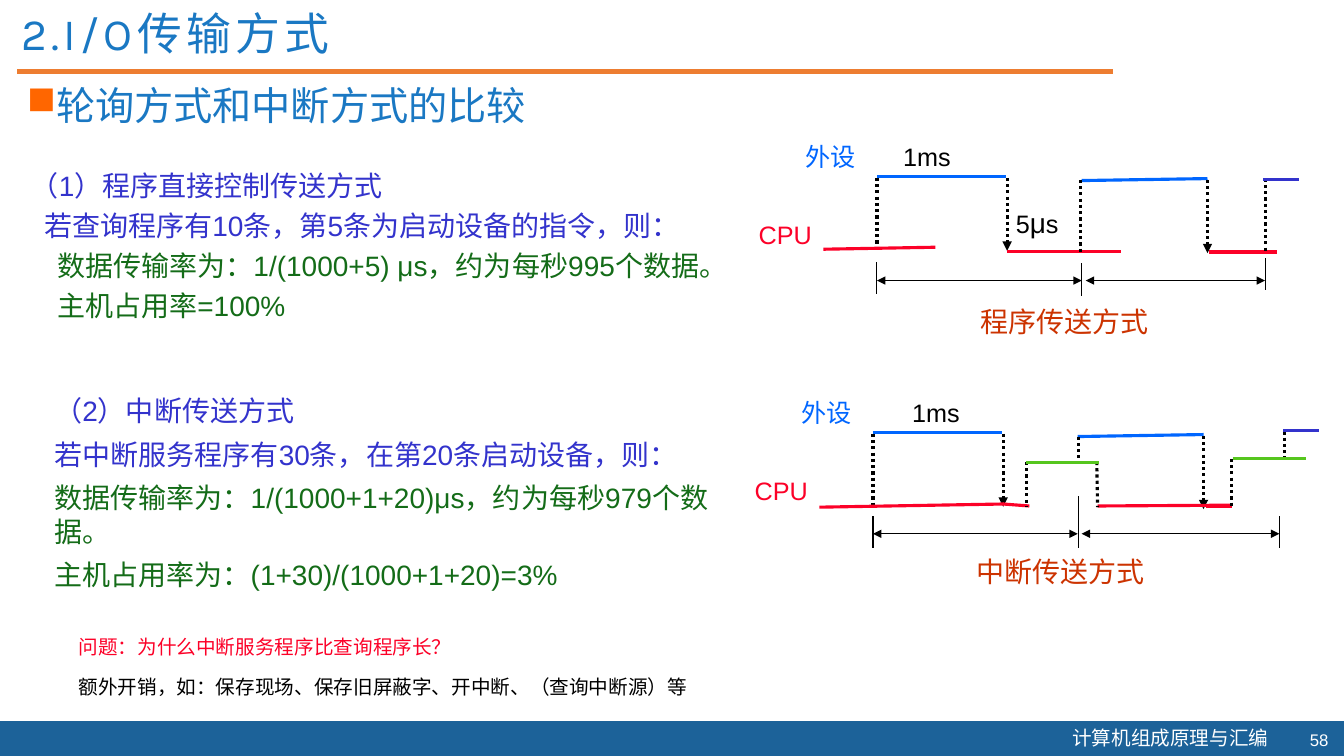
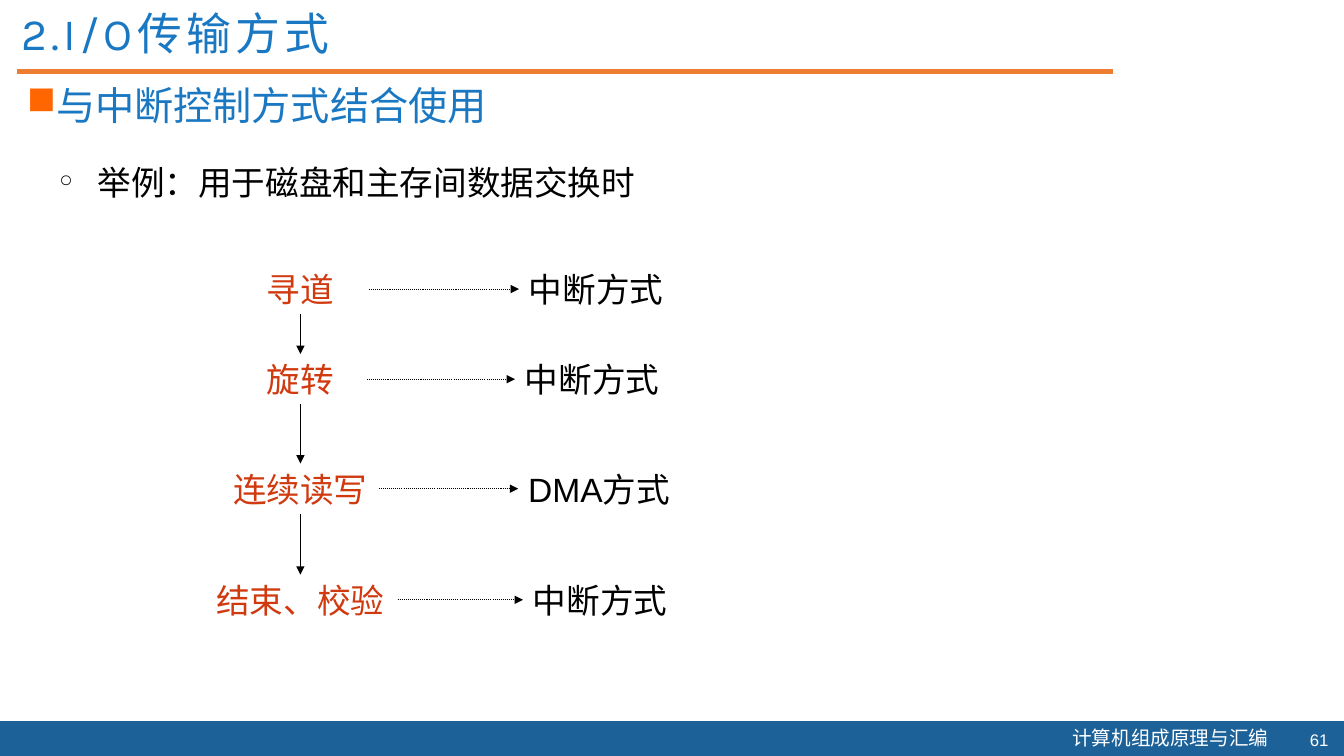
"""Build two lecture slides on I/O transfer modes."""
from itertools import pairwise

from lxml import etree
from pptx import Presentation
from pptx.dml.color import RGBColor
from pptx.enum.dml import MSO_LINE
from pptx.enum.shapes import MSO_CONNECTOR, MSO_SHAPE
from pptx.enum.text import MSO_ANCHOR, PP_ALIGN
from pptx.oxml.ns import qn
from pptx.util import Cm, Pt

STRAIGHT, RECTANGLE, DOTTED = MSO_CONNECTOR.STRAIGHT, MSO_SHAPE.RECTANGLE, MSO_LINE.ROUND_DOT
LEFT, CENTER, RIGHT = PP_ALIGN.LEFT, PP_ALIGN.CENTER, PP_ALIGN.RIGHT
TOP, MIDDLE = MSO_ANCHOR.TOP, MSO_ANCHOR.MIDDLE

WHITE = RGBColor(0xFF, 0xFF, 0xFF)
BLACK = RGBColor(0x00, 0x00, 0x00)
BAND = RGBColor(0x1C, 0x62, 0x99)
RULE = RGBColor(0xED, 0x7D, 0x31)
HEADING = RGBColor(0x1A, 0x78, 0xC3)
BULLET = RGBColor(0xFF, 0x66, 0x00)
INDIGO = RGBColor(0x33, 0x33, 0xCC)
DARK_GREEN = RGBColor(0x14, 0x6C, 0x18)
GREEN = RGBColor(0x56, 0xC6, 0x1E)
RED = RGBColor(0xFC, 0x01, 0x28)
BLUE = RGBColor(0x00, 0x66, 0xFF)
CAPTION = RGBColor(0xCC, 0x33, 0x00)
STEP = RGBColor(0xD1, 0x39, 0x0F)

BODY_FONT, TITLE_FONT, FOOTER_FONT = "Arial", "Karla", "Noto Sans CJK SC"
WIDTH, HEIGHT = 33.87, 19.05
TITLE = "2.I/O传输方式"
COURSE = "计算机组成原理与汇编"

DEVICE = {"color": BLUE, "width": 2.25}
CPU = {"color": RED, "width": 2.25}
SERVICE = {"color": GREEN, "width": 2.25}
NEXT = {"color": INDIGO, "width": 2.25}
EDGE = {"width": 2.25, "dash": DOTTED}
SIGNAL = {"width": 2.25, "dash": DOTTED, "tail": True}
SPAN = {"head": True, "tail": True}
TICK = {}


class Deck:
    """Hold the style, the current slide and the container being drawn on."""

    def __init__(self):
        self.prs = Presentation()
        self.prs.slide_width, self.prs.slide_height = Cm(WIDTH), Cm(HEIGHT)

    def new_slide(self, heading, number):
        """Start a slide with the shared title, rule, footer and heading."""
        self.slide = self.prs.slides.add_slide(self.prs.slide_layouts[5])
        self.shapes = self.slide.shapes
        self.band(0, 18.17, WIDTH, 0.88)
        self.text(26.77, 18.17, 5.6, COURSE, WHITE, 14, font=FOOTER_FONT)
        self.line(0.43, 1.8, 28.04, 1.8, RULE, 3)
        page = self.text(32.46, 18.26, 1.27, str(number), WHITE, 12, RIGHT, height=0.76)
        page.text_frame.vertical_anchor = MIDDLE
        self.title()
        topic = self.text(0.43, 1.93, 32.87, heading, HEADING, 28)
        self.bullet(topic.text_frame.paragraphs[0], "■", 0.64, BULLET)

    def title(self):
        """Place and format the title placeholder."""
        title = self.shapes.title
        title.left, title.top, title.width, title.height = Cm(0.28), Cm(0.18), Cm(27.05), Cm(1.22)
        title.text_frame.text = TITLE
        title.text_frame.vertical_anchor = TOP
        paragraph = title.text_frame.paragraphs[0]
        paragraph.line_spacing = 0.9
        self.style(paragraph, HEADING, 32, LEFT, TITLE_FONT)
        paragraph.runs[0]._r.get_or_add_rPr().set("spc", "300")

    def band(self, x, y, width, height):
        """Draw the footer band."""
        band = self.shapes.add_shape(RECTANGLE, Cm(x), Cm(y), Cm(width), Cm(height))
        band.shadow.inherit = False
        band.fill.solid()
        band.fill.fore_color.rgb = BAND
        band.line.fill.background()

    def style(self, paragraph, color, size, align=LEFT, font=BODY_FONT):
        """Set the font and alignment of a paragraph."""
        paragraph.alignment = align
        paragraph.font.name = font
        paragraph.font.size = Pt(size)
        paragraph.font.color.rgb = color

    def text(self, x, y, width, content, color=BLACK, size=18, align=LEFT,
             font=BODY_FONT, height=1.0):
        """Add a one-paragraph text box."""
        box = self.shapes.add_textbox(Cm(x), Cm(y), Cm(width), Cm(height))
        box.text_frame.word_wrap = True
        box.text_frame.text = content
        self.style(box.text_frame.paragraphs[0], color, size, align, font)
        return box

    def passage(self, x, y, width, lines, spacing=1.0, before=0):
        """Add a text box of (content, color, indent) paragraphs."""
        first, *rest = lines
        frame = self.text(x, y, width, first[0], first[1], 20, height=5.2).text_frame
        frame.paragraphs[0].line_spacing = spacing
        for content, color, indent in rest:
            paragraph = frame.add_paragraph()
            paragraph.text = content
            self.style(paragraph, color, 20)
            paragraph.line_spacing = spacing
            paragraph.space_before = Pt(before)
            self.indent(paragraph, indent)

    def indent(self, paragraph, left, first=0):
        """Set the left margin and first-line indent of a paragraph."""
        properties = paragraph._p.get_or_add_pPr()
        properties.set("marL", str(Cm(left)))
        properties.set("indent", str(Cm(first)))
        return properties

    def bullet(self, paragraph, symbol, hanging, color):
        """Give a paragraph a coloured bullet with a hanging indent."""
        default_font = self.indent(paragraph, hanging, -hanging).find(qn("a:defRPr"))
        tint = etree.Element(qn("a:buClr"))
        etree.SubElement(tint, qn("a:srgbClr"), val=str(color))
        default_font.addprevious(tint)
        default_font.addprevious(etree.Element(qn("a:buChar"), char=symbol))

    def line(self, x1, y1, x2, y2, color=BLACK, width=0.75, dash=None, head=False, tail=False):
        """Add a straight line, with arrowheads where asked."""
        line = self.shapes.add_connector(STRAIGHT, Cm(x1), Cm(y1), Cm(x2), Cm(y2))
        line.line.color.rgb = color
        line.line.width = Pt(width)
        if dash:
            line.line.dash_style = dash
        properties = line._element.spPr
        outline = properties.find(qn("a:ln"))
        for wanted, tag in ((head, "a:headEnd"), (tail, "a:tailEnd")):
            if wanted:
                etree.SubElement(outline, qn(tag), type="triangle")
        etree.SubElement(properties, qn("a:effectLst"))
        return line

    def join(self, source, source_side, target, target_side, dash=None):
        """Join two boxes with an arrow."""
        arrow = self.line(0, 0, 1, 1, dash=dash, tail=True)
        arrow.begin_connect(source, source_side)
        arrow.end_connect(target, target_side)

    def timing(self, x, y, caption, period_x, caption_y, span_y, end, traces):
        """Draw a grouped timing diagram whose first device pulse starts at x, y."""
        self.shapes = self.slide.shapes.add_group_shape().shapes
        shared = [
            (DEVICE, [(0, 0, 3.25, 0), (5.16, 0.1, 8.33, 0.05)]),
            (EDGE, [(0, 0.03, 0, 1.84)]),
            (SIGNAL, [(3.28, 0.03, 3.28, 1.87), (8.33, 0.08, 8.33, 1.93)]),
            (SPAN, [(0, span_y, 5.16, span_y), (5.26, span_y, end, span_y)]),
        ]
        for look, segments in shared + traces:
            for x1, y1, x2, y2 in segments:
                self.line(x + x1, y + y1, x + x2, y + y2, **look)
        self.text(x - 2.06, y - 1.02, 2.97, "外设", BLUE)
        self.text(x - 3.23, y + 0.95, 3.28, "CPU", RED)
        self.text(x + period_x, y - 1.02, 2.77, "1ms")
        self.text(x + 2.35, y + caption_y, 5, caption, CAPTION, 20)

    def duration(self, x, y):
        """Write the polling time with its larger Greek letter."""
        paragraph = self.text(x, y, 2.77, "5").text_frame.paragraphs[0]
        for content, size in (("μ", 20), ("s", 18)):
            run = paragraph.add_run()
            run.text = content
            run.font.size = Pt(size)


def comparison(deck):
    """Compare polling with interrupts."""
    deck.new_slide("轮询方式和中断方式的比较", 58)
    deck.passage(0.53, 3.94, 26.3, [
        ("（1）程序直接控制传送方式", INDIGO, 0),
        ("若查询程序有10条，第5条为启动设备的指令，则：", INDIGO, 0.33),
        ("数据传输率为：1/(1000+5) μs，约为每秒995个数据。", DARK_GREEN, 0.66),
        ("主机占用率=100%", DARK_GREEN, 0.66),
    ], spacing=1.2)
    deck.passage(1.12, 9.8, 17.02, [
        ("（2）中断传送方式", INDIGO, 0),
        ("若中断服务程序有30条，在第20条启动设备，则：", INDIGO, 0),
        ("数据传输率为：1/(1000+1+20)μs，约为每秒979个数据。", DARK_GREEN, 0),
        ("主机占用率为：(1+30)/(1000+1+20)=3%", DARK_GREEN, 0),
    ], before=7)
    deck.text(1.73, 15.88, 11.4, "问题：为什么中断服务程序比查询程序长？", RED, 14)
    deck.text(1.73, 16.87, 19.6,
              "额外开销，如：保存现场、保存旧屏蔽字、开中断、（查询中断源）等", BLACK, 14)
    deck.timing(22.1, 4.45, "程序传送方式", 0.41, 3.1, 2.62, 9.78, [
        (CPU, [(-1.35, 1.83, 1.47, 1.78), (3.28, 1.88, 6.15, 1.88), (8.38, 1.9, 10.08, 1.9)]),
        (EDGE, [(5.13, 0.08, 5.13, 1.93), (9.8, 0.05, 9.8, 1.88)]),
        (TICK, [(0, 2.16, 0, 2.97), (5.16, 2.18, 5.16, 3), (9.78, 2.06, 9.78, 2.87)]),
        (NEXT, [(9.73, 0.08, 10.64, 0.08)]),
    ])
    deck.duration(25.35, 5.06)
    deck.timing(22, 10.9, "中断传送方式", 0.74, 2.95, 2.55, 10.24, [
        (CPU, [(-1.35, 1.88, 3.3, 1.8), (3.28, 1.8, 3.94, 1.85),
               (5.66, 1.85, 9.02, 1.83), (8.38, 1.85, 9.04, 1.85)]),
        (EDGE, [(3.86, 0.74, 3.86, 1.85), (5.18, 0.1, 5.18, 0.74), (5.64, 0.74, 5.66, 1.88),
                (9.04, 0.66, 9.04, 1.85), (10.36, -0.03, 10.36, 0.61)]),
        (TICK, [(0, 2.11, 0, 2.9), (5.18, 1.6, 5.18, 2.92), (10.24, 2.11, 10.24, 2.92)]),
        (SERVICE, [(3.86, 0.76, 5.69, 0.76), (9.07, 0.66, 10.9, 0.66)]),
        (NEXT, [(10.34, -0.05, 11.25, -0.05)]),
    ])


def disk_example(deck):
    """Show the steps of a disk transfer and the mode each one uses."""
    deck.new_slide("与中断控制方式结合使用", 61)
    example = deck.text(1.24, 3.76, 22.76, "举例：用于磁盘和主存间数据交换时", BLACK, 24)
    paragraph = example.text_frame.paragraphs[0]
    paragraph.line_spacing = 1.2
    deck.bullet(paragraph, "°", 0.97, BLACK)

    axis, box_height = 7.57, 1.27
    steps = []
    for name, mode, y, width, mode_x in (
        ("寻道", "中断方式", 6.65, 3.45, 13.08),
        ("旋转", "中断方式", 8.92, 3.35, 12.98),
        ("连续读写", "DMA方式", 11.68, 3.95, 13.06),
        ("结束、校验", "中断方式", 14.48, 4.9, 13.18),
    ):
        step = deck.text(axis - width / 2, y, width, name, STEP, 24, CENTER, height=box_height)
        method = deck.text(mode_x, y, 4.57, mode, BLACK, 24, height=box_height)
        deck.join(step, 3, method, 1, DOTTED)
        steps.append(step)
    for upper, lower in pairwise(steps):
        deck.join(upper, 2, lower, 0)


def main():
    """Build and save the presentation."""
    deck = Deck()
    comparison(deck)
    disk_example(deck)
    deck.prs.save("out.pptx")


if __name__ == "__main__":
    main()
